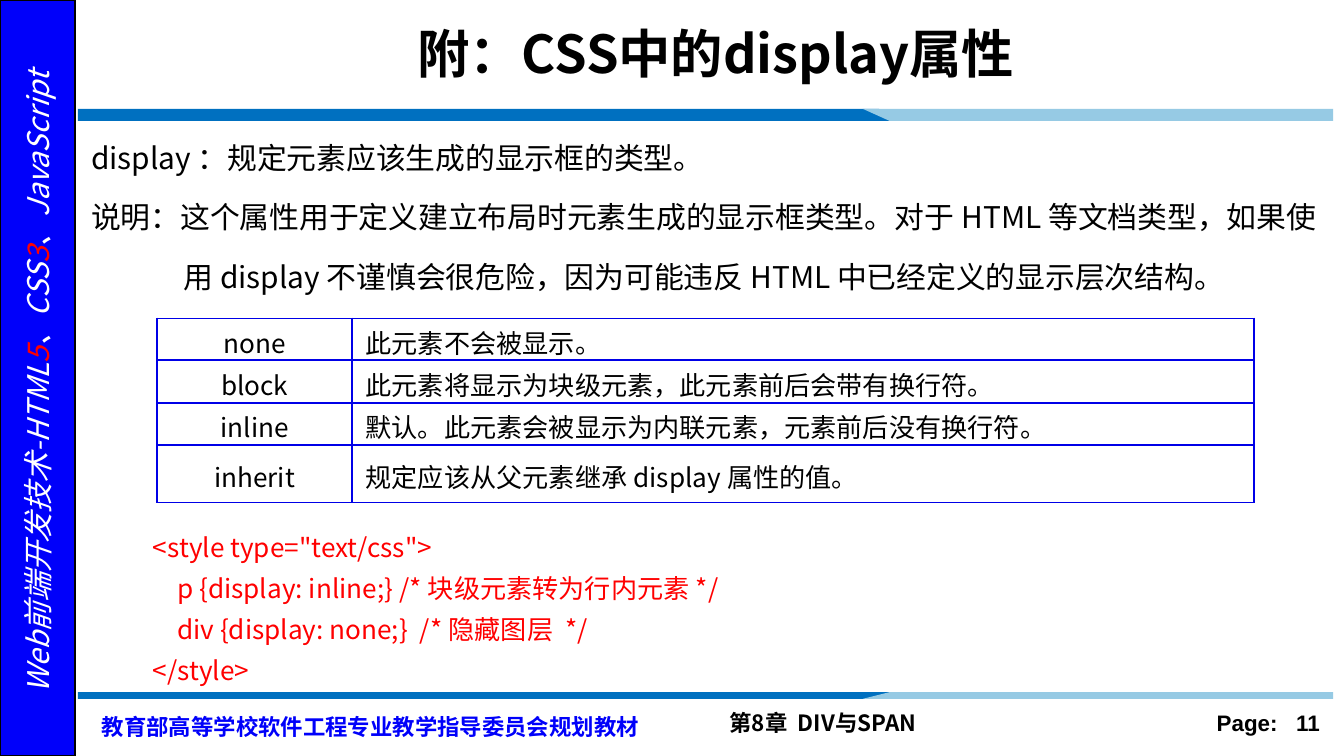
from pptx import Presentation
from pptx.dml.color import RGBColor
from pptx.enum.shapes import MSO_SHAPE
from pptx.enum.text import MSO_ANCHOR, PP_ALIGN
from pptx.oxml import parse_xml
from pptx.oxml.ns import nsdecls, qn
from pptx.util import Inches, Pt

LEFT, CENTER, RIGHT = PP_ALIGN.LEFT, PP_ALIGN.CENTER, PP_ALIGN.RIGHT
MIDDLE, RECT = MSO_ANCHOR.MIDDLE, MSO_SHAPE.RECTANGLE

# Theme
THEME = dict(font="Noto Sans CJK SC", footer_font="Arial",
             black="000000", white="FFFFFF", red="FF0000", blue="0000FA",
             border="0000E7", dark="0070C0", light="96CAE4",
             title=28, body=16, cell=14, footer=12)

# Content: a paragraph is a list of (text, colour) runs
TITLE = "附：CSS中的display属性"
SIDE = [("Web前端开发技术-HTML", "white"), ("5", "red"), ("、CSS", "white"),
        ("3", "red"), ("、JavaScript", "white")]
INTRO = [  # text, hanging indent
    ("display ：规定元素应该生成的显示框的类型。", 0),
    ("说明：这个属性用于定义建立布局时元素生成的显示框类型。对于 HTML 等文档类型，"
     "如果使用 display 不谨慎会很危险，因为可能违反 HTML 中已经定义的显示层次结构。", 0.69)]
VALUES = [
    ("none", "此元素不会被显示。"),
    ("block", "此元素将显示为块级元素，此元素前后会带有换行符。"),
    ("inline", "默认。此元素会被显示为内联元素，元素前后没有换行符。"),
    ("inherit", "规定应该从父元素继承 display 属性的值。")]
CODE = [  # text, indent level
    ('<style type="text/css">', 0),
    ("p {display: inline;} /* 块级元素转为行内元素 */", 1),
    ("div {display: none;}  /* 隐藏图层  */", 1),
    ("</style>", 0)]
FOOTER = [  # text, box, alignment, colour, font
    ("教育部高等学校软件工程专业教学指导委员会规划教材", (0.66, 5.21, 4.33, 0.35),
     LEFT, "blue", "font"),
    ("第8章  DIV与SPAN", (5.33, 5.23, 3.29, 0.3), LEFT, "black", "font"),
    ("Page:   11", (8.67, 5.23, 1.25, 0.3), RIGHT, "black", "footer_font")]
BANDS = [(0.81, 0.9), (5.2, 5.15)]  # straight edge, slanted edge
COLS, ROWS = (1.45, 6.71), (0.31, 0.32, 0.31, 0.43)


def rgb(name):
    return RGBColor.from_string(THEME[name])


def write(p, runs, size, font="font", align=LEFT, spacing=None, indent=0, hang=0, **style):
    p.alignment = align
    if spacing:
        p.line_spacing = Pt(spacing)
    if indent or hang:
        pPr = p._p.get_or_add_pPr()
        pPr.set("marL", str(Inches(indent + hang)))
        pPr.set("indent", str(-Inches(hang)))
    for text, color in runs:
        r = p.add_run()
        r.text = text
        for key, value in dict(size=Pt(THEME[size]), name=THEME[font], **style).items():
            setattr(r.font, key, value)
        r.font.color.rgb = rgb(color)
        r._r.get_or_add_rPr().find(qn("a:latin")).addnext(
            parse_xml(f'<a:ea {nsdecls("a")} typeface="{THEME[font]}"/>'))


def text_box(box, paragraphs, wrap=True):
    sp = slide.shapes.add_textbox(*map(Inches, box))
    tf = sp.text_frame
    tf.word_wrap = wrap
    for i, (runs, fmt) in enumerate(paragraphs):
        write(tf.add_paragraph() if i else tf.paragraphs[0], runs, **fmt)
    return sp


def paint(sp, fill, line=None):
    sp.shadow.inherit = False
    sp.fill.solid()
    sp.fill.fore_color.rgb = rgb(fill)
    if line:
        sp.line.color.rgb = rgb(line)
        sp.line.width = Pt(1)
    else:
        sp.line.fill.background()


def polygon(points, fill):
    pts = [(Inches(x), Inches(y)) for x, y in points]
    builder = slide.shapes.build_freeform(*pts[0])
    builder.add_line_segments(pts[1:], close=True)
    paint(builder.convert_to_shape(), fill)


# A 16:9 slide
prs = Presentation()
prs.slide_width = Inches(10)
prs.slide_height = prs.slide_width * 9 // 16
slide = prs.slides.add_slide(prs.slide_layouts[5])

# Sidebar
paint(slide.shapes.add_shape(RECT, 0, 0, Inches(0.56), prs.slide_height), "blue", "black")
side = text_box((-2.31, 2.66, 5.19, 0.37),
                [(SIDE, dict(size="body", align=CENTER, italic=True))], wrap=False)
side.rotation = 270

# Two-tone bands, the lower one mirrored
for a, b in BANDS:
    polygon([(0.58, a), (6.54, a), (6.72, b), (0.58, b)], "dark")
    polygon([(6.42, a), (9.92, a), (9.92, b), (6.62, b)], "light")

# Footer
for text, box, align, color, font in FOOTER:
    fmt = dict(size="footer", font=font, align=align, bold=True)
    if color == "blue":
        fmt["spacing"] = 18
    text_box(box, [([(text, color)], fmt)])

# Title
title = slide.shapes.title
title.left, title.top, title.width, title.height = map(Inches, (1.08, 0.08, 8.49, 0.62))
title.text_frame.vertical_anchor = MIDDLE
write(title.text_frame.paragraphs[0], [(TITLE, "black")], "title", align=CENTER, bold=True)

# Introduction and code sample
text_box((0.58, 0.81, 9.33, 1.39),
         [([(t, "black")], dict(size="body", spacing=32, hang=h)) for t, h in INTRO])
text_box((1, 3.83, 8.5, 1.3),
         [([(t, "red")], dict(size="cell", spacing=22, indent=0.04 + 0.18 * level))
          for t, level in CODE])

# Table of values
table = slide.shapes.add_table(len(ROWS), len(COLS), Inches(1.17), Inches(2.37),
                               Inches(sum(COLS)), Inches(sum(ROWS))).table
table.first_row = table.horz_banding = False
for col, width in zip(table.columns, COLS):
    col.width = Inches(width)
for row, height, texts in zip(table.rows, ROWS, VALUES):
    row.height = Inches(height)
    for cell, text, align in zip(row.cells, texts, (CENTER, LEFT)):
        cell.vertical_anchor = MIDDLE
        cell.margin_top, cell.margin_bottom = Inches(0.03), 0
        write(cell.text_frame.paragraphs[0], [(text, "black")], "cell", align=align)
        tcPr = cell._tc.get_or_add_tcPr()
        for side_tag in ("lnL", "lnR", "lnT", "lnB"):
            tcPr.append(parse_xml(
                f'<a:{side_tag} {nsdecls("a")} w="{Pt(1)}"><a:solidFill>'
                f'<a:srgbClr val="{THEME["border"]}"/></a:solidFill></a:{side_tag}>'))
        cell.fill.background()

prs.save("out.pptx")
